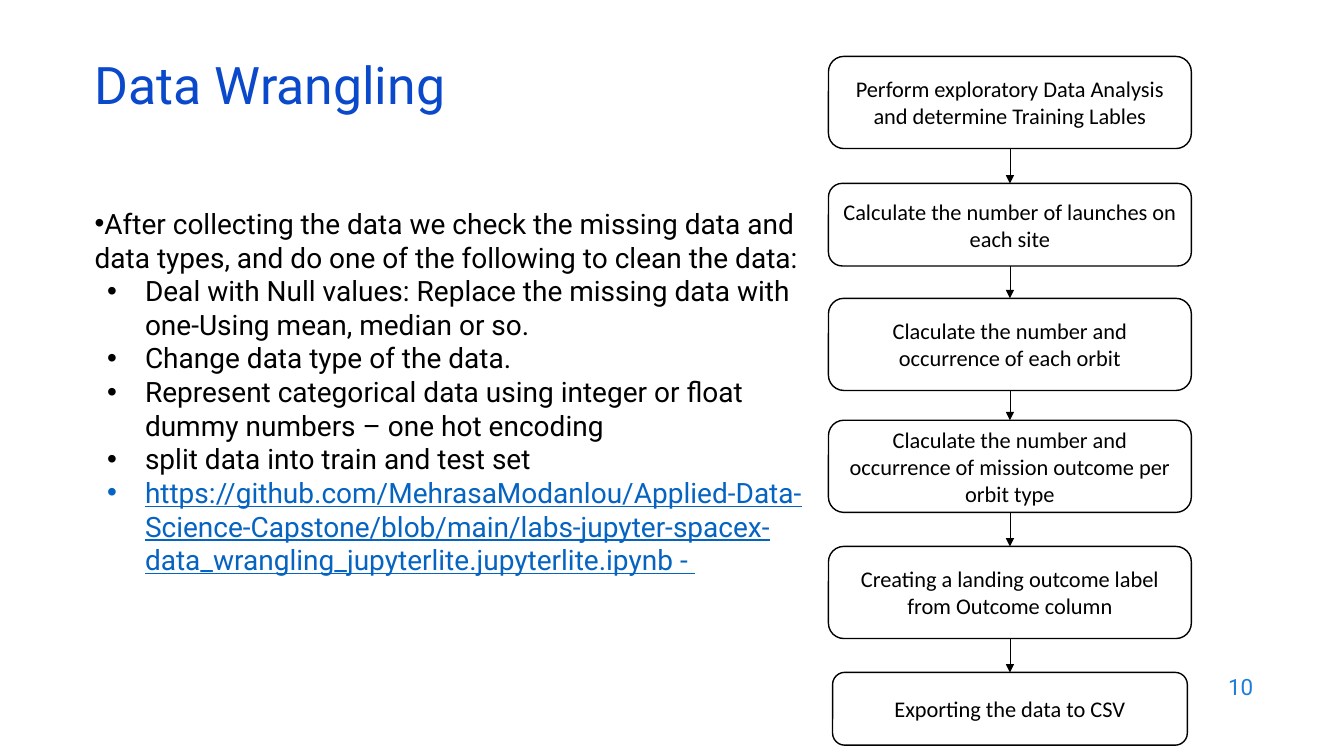
import pptx
import pptx.dml.color
import pptx.enum.shapes
import pptx.enum.text
import pptx.oxml.ns
import pptx.util
from lxml import etree

Pt = pptx.util.Pt
ALIGN = pptx.enum.text.PP_ALIGN
ANCHOR = pptx.enum.text.MSO_ANCHOR
SHAPES = pptx.enum.shapes

COLORS = {
    "title": "0B49CB",
    "text": "000000",
    "link": "0563C1",
    "number": "1C7DDB",
    "node": "FFFFFF",
    "line": "000000",
}

INTRO = ("After collecting the data we check the missing data and data types, "
         "and do one of the following to clean the data:")
CLEANING_STEPS = [
    "Deal with Null values: Replace the missing data with one-Using mean, median or so.",
    "Change data type of the data.",
    "Represent categorical data using integer or float dummy numbers – one hot encoding",
    "split data into train and test set",
]
NOTEBOOK = ("https://github.com/MehrasaModanlou/Applied-Data-Science-Capstone/blob/main/"
            "labs-jupyter-spacex-data_wrangling_jupyterlite.jupyterlite.ipynb - ")

# Text, offset from the top of the chart, height, inset on each side
FLOW_STEPS = [
    ("Perform exploratory Data Analysis and determine Training Lables", 0, 65.8, 0),
    ("Calculate the number of launches on each site", 90.7, 59, 0),
    ("Claculate the number and occurrence of each orbit", 172.8, 65.8, 0),
    ("Claculate the number and occurrence of mission outcome per orbit type", 259.9, 65.8, 0),
    ("Creating a landing outcome label from Outcome column", 350, 65.8, 0),
    ("Exporting the data to CSV", 440, 52, 2.9),
]


def rgb(name):
    return pptx.dml.color.RGBColor.from_string(COLORS[name])


def add_element(parent, tag, **attributes):
    return etree.SubElement(parent, pptx.oxml.ns.qn(tag), **attributes)


def set_font(paragraph, name, size, color):
    paragraph.font.name = name
    paragraph.font.size = Pt(size)
    paragraph.font.color.rgb = rgb(color)


def add_title(page, left, top, width, height):
    title = page.shapes.title
    title.left, title.top, title.width, title.height = map(Pt, (left, top, width, height))
    frame = title.text_frame
    frame.text = "Data Wrangling"
    frame.auto_size = pptx.enum.text.MSO_AUTO_SIZE.NONE
    frame.vertical_anchor = ANCHOR.MIDDLE
    paragraph = frame.paragraphs[0]
    paragraph.alignment = ALIGN.LEFT
    paragraph.line_spacing = 0.8
    set_font(paragraph, "Roboto", 37, "title")


def add_text_frame(page, left, top, width, height):
    box = page.shapes.add_textbox(Pt(left), Pt(top), Pt(width), Pt(height))
    box.text_frame.word_wrap = True
    return box.text_frame


def add_bullet(paragraph, margin, hanging):
    properties = paragraph._p.get_or_add_pPr()
    properties.set("marL", str(Pt(margin)))
    properties.set("indent", str(-Pt(hanging)))
    add_element(properties, "a:buFont", typeface="Arial")
    add_element(properties, "a:buChar", char="•")


def add_cleaning_list(page, left, top, width, height):
    frame = add_text_frame(page, left, top, width, height)
    items = [(INTRO, 0, 0, "text")]
    items += [(step, 36, 27, "text") for step in CLEANING_STEPS]
    items.append((NOTEBOOK, 36, 27, "link"))
    for index, (text, margin, hanging, color) in enumerate(items):
        paragraph = frame.add_paragraph() if index else frame.paragraphs[0]
        paragraph.text = text
        add_bullet(paragraph, margin, hanging)
        paragraph.line_spacing = Pt(24)
        set_font(paragraph, "Roboto", 20, color)
        if color == "link":
            paragraph.font.underline = True


def add_flow_node(page, text, left, top, width, height):
    node = page.shapes.add_shape(SHAPES.MSO_SHAPE.ROUNDED_RECTANGLE,
                                 Pt(left), Pt(top), Pt(width), Pt(height))
    node.shadow.inherit = False
    node.fill.solid()
    node.fill.fore_color.rgb = rgb("node")
    node.line.color.rgb = rgb("line")
    node.line.width = Pt(1)
    frame = node.text_frame
    frame.word_wrap = True
    frame.vertical_anchor = ANCHOR.MIDDLE
    paragraph = frame.paragraphs[0]
    paragraph.text = text
    paragraph.alignment = ALIGN.CENTER
    set_font(paragraph, "Calibri", 16, "text")
    return node


def add_arrow(page, upper, lower):
    arrow = page.shapes.add_connector(SHAPES.MSO_CONNECTOR.STRAIGHT, 0, 0, 0, 0)
    arrow.begin_connect(upper, 2)
    arrow.end_connect(lower, 0)
    arrow.line.color.rgb = rgb("line")
    arrow.line.width = Pt(0.5)
    add_element(arrow.line._get_or_add_ln(), "a:tailEnd", type="triangle")
    add_element(arrow._element.spPr, "a:effectLst")


def add_flow_chart(page, left, top, width):
    nodes = [add_flow_node(page, text, left + inset, top + offset, width - 2 * inset, height)
             for text, offset, height, inset in FLOW_STEPS]
    for upper, lower in zip(nodes, nodes[1:]):
        add_arrow(page, upper, lower)


def add_page_number(page, left, top, width, height):
    frame = add_text_frame(page, left, top, width, height)
    frame.vertical_anchor = ANCHOR.MIDDLE
    paragraph = frame.paragraphs[0]
    paragraph.text = "10"
    paragraph.alignment = ALIGN.RIGHT
    set_font(paragraph, "Roboto", 16, "number")


def main():
    deck = pptx.Presentation()
    deck.slide_width, deck.slide_height = Pt(960), Pt(540)
    page = deck.slides.add_slide(deck.slide_layouts[5])
    add_page_number(page, 686.2, 474.5, 216, 31.7)
    add_cleaning_list(page, 60.5, 144, 524.2, 342.7)
    add_title(page, 60.5, 42.5, 828, 43.2)
    add_flow_chart(page, 591.8, 40.3, 259.2)
    deck.save("out.pptx")


if __name__ == "__main__":
    main()
